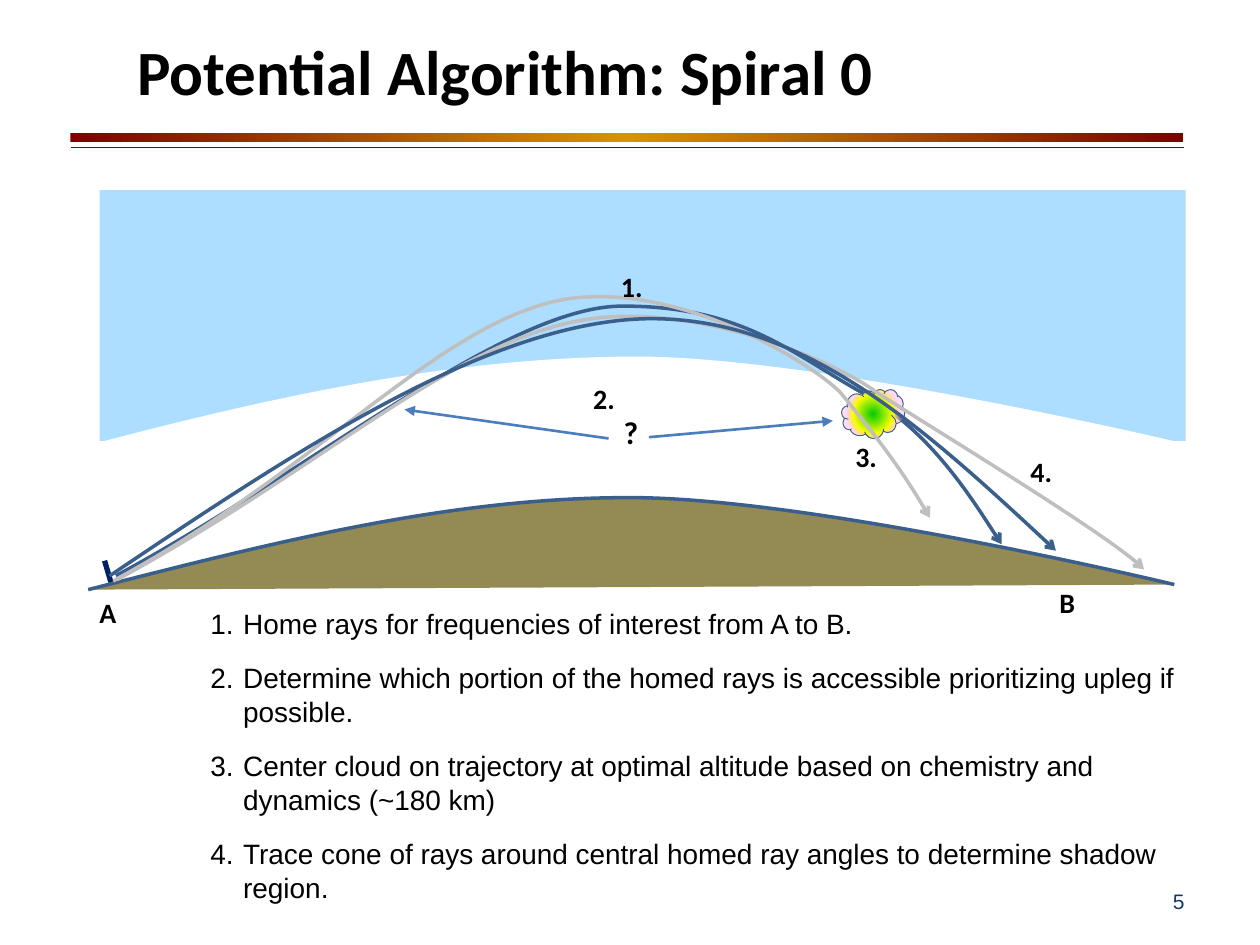
from dataclasses import dataclass
from typing import Optional

import lxml.etree
import pptx
import pptx.dml.color
import pptx.enum.shapes
import pptx.enum.text
import pptx.oxml
import pptx.oxml.ns
import pptx.util

RGBColor = pptx.dml.color.RGBColor
Shape = pptx.enum.shapes.MSO_SHAPE
Align = pptx.enum.text.PP_ALIGN
Anchor = pptx.enum.text.MSO_ANCHOR
AutoSize = pptx.enum.text.MSO_AUTO_SIZE
qn = pptx.oxml.ns.qn

EMU_PER_PX = 9144  # 100 px to the inch
BOUND_STEPS = 50

BLACK = RGBColor(0x00, 0x00, 0x00)
WHITE = RGBColor(0xFF, 0xFF, 0xFF)
MAROON = RGBColor(0x80, 0x00, 0x00)
GOLD = RGBColor(0xD2, 0x96, 0x00)
SKY = RGBColor(0x00, 0x96, 0xFF)
EARTH = RGBColor(0x94, 0x8A, 0x54)
NAVY = RGBColor(0x00, 0x20, 0x60)
RAY_BLUE = RGBColor(0x3A, 0x5F, 0x8C)
RAY_GRAY = RGBColor(0xBF, 0xBF, 0xBF)
POINTER_BLUE = RGBColor(0x4B, 0x7E, 0xBC)
NUMBER_BLUE = RGBColor(0x17, 0x37, 0x5E)
GREEN = RGBColor(0x00, 0xCC, 0x00)
YELLOW = RGBColor(0xFF, 0xFF, 0x00)
PINK = RGBColor(0xFF, 0xA2, 0xF3)

Point = tuple[int, int]


@dataclass
class Curve:
    """A start point followed by three points for each cubic segment."""
    points: list[Point]
    line: Optional[RGBColor] = None
    fill: Optional[RGBColor] = None
    head: Optional[str] = None


@dataclass
class Segment:
    start: Point
    end: Point
    color: RGBColor
    width: float
    head: Optional[str] = None


@dataclass
class Label:
    text: str
    left: int
    top: int
    width: int
    height: int = 37
    size: int = 16


@dataclass
class Stop:
    percent: int
    color: RGBColor
    opacity: int = 100


GROUND = Curve([(70, 468), (212, 432), (354, 395), (498, 395),
                (641, 394), (932, 464), (932, 464)], RAY_BLUE, EARTH)
SKY_EDGE = Curve([(79, 351), (220, 314), (362, 283), (506, 283),
                  (650, 283), (940, 352), (940, 352)], fill=WHITE)
FIRST_RAY = Curve([(92, 457), (250, 372), (403, 242), (495, 243), (588, 243), (628, 280),
                   (683, 311), (738, 341), (779, 408), (795, 432)], RAY_BLUE, head="arrow")
LATER_RAYS = [
    Curve([(90, 461), (249, 375), (340, 265), (437, 240), (533, 216), (654, 294),
           (669, 314), (705, 358), (723, 385), (738, 411)], RAY_GRAY, head="arrow"),
    Curve([(93, 460), (251, 374), (347, 282), (448, 257), (548, 232), (673, 293),
           (695, 311), (755, 349), (888, 430), (908, 452)], RAY_GRAY, head="arrow"),
    Curve([(87, 457), (236, 357), (386, 257), (511, 253),
           (636, 250), (737, 343), (838, 437)], RAY_BLUE, head="arrow"),
]
TITLE_RULE = Segment((56, 117), (940, 117), MAROON, 0.75)
ANTENNA = Segment((88, 462), (83, 445), NAVY, 3)
POINTERS = [
    Segment((483, 348), (321, 325), POINTER_BLUE, 1.5, "triangle"),
    Segment((515, 347), (661, 334), POINTER_BLUE, 1.5, "triangle"),
]
LABELS = [
    Label("A", 69, 468, 34),
    Label("B", 831, 460, 34),
    Label("1.", 483, 209, 38),
    Label("2.", 461, 298, 38),
    Label("?", 485, 323, 32, 40, 18),
    Label("3.", 669, 344, 38),
    Label("4.", 808, 356, 38),
]
STEPS = [
    "Home rays for frequencies of interest from A to B.",
    "Determine which portion of the homed rays is accessible prioritizing upleg if possible.",
    "Center cloud on trajectory at optimal altitude based on chemistry and dynamics (~180 km)",
    "Trace cone of rays around central homed ray angles to determine shadow region.",
]


def px(value: float) -> int:
    return round(value * EMU_PER_PX)


def place(shape, left: int, top: int, width: int, height: int) -> None:
    shape.left, shape.top, shape.width, shape.height = map(px, (left, top, width, height))


def set_font(para, name: str, size: int, color: RGBColor, bold: bool = False) -> None:
    para.font.name, para.font.size, para.font.bold = name, pptx.util.Pt(size), bold
    para.font.color.rgb = color


def add_head(line, kind: str) -> None:
    lxml.etree.SubElement(line._get_or_add_ln(), qn("a:tailEnd")).set("type", kind)


def curve_range(values: list[int]) -> tuple[int, int]:
    """Return the lowest and highest EMU that the curve reaches on one axis."""
    reached = []
    for first in range(0, len(values) - 1, 3):
        a, b, c, d = values[first:first + 4]
        for t in (step / BOUND_STEPS for step in range(BOUND_STEPS + 1)):
            s = 1 - t
            reached.append(px(a * s ** 3 + 3 * b * t * s * s + 3 * c * t * t * s + d * t ** 3))
    return min(reached), max(reached)


def add_curve_shape(shapes, points: list[Point]):
    """Build a freeform and turn each three of its lines into one cubic segment."""
    (left, right), (top, bottom) = (curve_range(list(values)) for values in zip(*points))
    corners = [(px(x), px(y)) for x, y in points]
    builder = shapes.build_freeform(*corners[0])
    builder.add_line_segments(corners[1:], close=False)
    shape = builder.convert_to_shape()
    shape.left, shape.top, shape.width, shape.height = left, top, right - left, bottom - top
    outline = shape._element.spPr.find(".//" + qn("a:path"))
    outline.set("w", str(right - left))
    outline.set("h", str(bottom - top))
    marks = list(outline.iter(qn("a:pt")))
    for mark, (x, y) in zip(marks, corners):
        mark.set("x", str(x - left))
        mark.set("y", str(y - top))
    for line in outline.findall(qn("a:lnTo")):
        outline.remove(line)
    for first in range(1, len(marks), 3):
        lxml.etree.SubElement(outline, qn("a:cubicBezTo")).extend(marks[first:first + 3])
    return shape


def draw_curve(shapes, curve: Curve) -> None:
    shape = add_curve_shape(shapes, curve.points)
    shape.shadow.inherit = False
    if curve.fill is None:
        shape.fill.background()
    else:
        shape.fill.solid()
        shape.fill.fore_color.rgb = curve.fill
    if curve.line is None:
        shape.line.fill.background()
    else:
        shape.line.color.rgb = curve.line
        shape.line.width = pptx.util.Pt(2)
    if curve.head:
        add_head(shape.line, curve.head)


def draw_segment(shapes, segment: Segment) -> None:
    connector = shapes.add_connector(pptx.enum.shapes.MSO_CONNECTOR.STRAIGHT,
                                     *map(px, segment.start + segment.end))
    connector.line.color.rgb = segment.color
    connector.line.width = pptx.util.Pt(segment.width)
    if segment.head:
        add_head(connector.line, segment.head)
    lxml.etree.SubElement(connector._element.spPr, qn("a:effectLst"))


def draw_preset(shapes, kind, left: int, top: int, width: int, height: int):
    shape = shapes.add_shape(kind, *map(px, (left, top, width, height)))
    shape.shadow.inherit = False
    shape.line.fill.background()
    return shape


def fill_gradient(shape, stops: list[Stop], direction: str) -> None:
    """Fill with any number of stops; direction is the a:lin or a:path element."""
    marks = "".join(f'<a:gs pos="{stop.percent * 1000}"><a:srgbClr val="{stop.color}">'
                    f'<a:alpha val="{stop.opacity * 1000}"/></a:srgbClr></a:gs>' for stop in stops)
    gradient = pptx.oxml.parse_xml(f'<a:gradFill {pptx.oxml.ns.nsdecls("a")} rotWithShape="1">'
                                   f'<a:gsLst>{marks}</a:gsLst>{direction}</a:gradFill>')
    shape.fill.background()
    properties = shape._element.spPr
    properties.replace(properties.find(qn("a:noFill")), gradient)


def add_text(shapes, label: Label, wrap: bool = False):
    box = shapes.add_textbox(*map(px, (label.left, label.top, label.width, label.height)))
    box.text_frame.word_wrap = wrap
    box.text_frame.auto_size = AutoSize.NONE if wrap else AutoSize.SHAPE_TO_FIT_TEXT
    box.text_frame.text = label.text
    set_font(box.text_frame.paragraphs[0], "Calibri", label.size, BLACK, True)
    return box.text_frame


def write_title(title) -> None:
    place(title, 99, 6, 767, 100)
    frame = title.text_frame
    frame.text = "Potential Algorithm: Spiral 0"
    frame.vertical_anchor, frame.auto_size = Anchor.MIDDLE, AutoSize.NONE
    frame.paragraphs[0].alignment = Align.LEFT
    set_font(frame.paragraphs[0], "Calibri", 36, BLACK, True)


def write_steps(body) -> None:
    place(body, 157, 476, 820, 248)
    frame = body.text_frame
    frame.text = "\n".join(STEPS)
    frame.auto_size = AutoSize.NONE
    for index, para in enumerate(frame.paragraphs):
        properties = para._p.get_or_add_pPr()
        properties.set("marL", str(px(26)))
        properties.set("indent", str(px(-26)))
        lxml.etree.SubElement(properties, qn("a:buFont")).set("typeface", "+mj-lt")
        lxml.etree.SubElement(properties, qn("a:buAutoNum")).set("type", "arabicPeriod")
        para.space_before = pptx.util.Pt(12 if index else 0)
        set_font(para, "Arial", 16, BLACK)


def write_page_number(shapes) -> None:
    frame = add_text(shapes, Label("5", 717, 695, 233, 40), wrap=True)
    frame.vertical_anchor = Anchor.MIDDLE
    frame.paragraphs[0].alignment = Align.RIGHT
    set_font(frame.paragraphs[0], "Arial", 12, NUMBER_BLUE)


def draw_sky(shapes) -> None:
    sky = draw_preset(shapes, Shape.RECTANGLE, 79, 151, 862, 199)
    sky.fill.solid()
    sky.fill.fore_color.rgb = SKY
    color = sky._element.spPr.find(qn("a:solidFill"))[0]
    lxml.etree.SubElement(color, qn("a:alpha")).set("val", "32000")
    draw_curve(shapes, SKY_EDGE)


def draw_cloud(shapes) -> None:
    cloud = draw_preset(shapes, Shape.CLOUD, 668, 309, 50, 39)
    fill_gradient(cloud, [Stop(0, GREEN), Stop(50, YELLOW), Stop(69, PINK, 37)],
                  '<a:path path="circle"><a:fillToRect l="50000" t="50000" r="50000" b="50000"/>'
                  '</a:path>')
    cloud.line.color.rgb = RAY_BLUE
    cloud.line.width = pptx.util.Pt(0.5)


def main() -> None:
    deck = pptx.Presentation()
    deck.slide_width, deck.slide_height = px(1000), px(750)
    page = deck.slides.add_slide(deck.slide_layouts[1])
    shapes = page.shapes
    write_title(shapes.title)
    write_steps(page.placeholders[1])
    bar = draw_preset(shapes, Shape.RECTANGLE, 56, 106, 883, 7)
    fill_gradient(bar, [Stop(0, MAROON), Stop(50, GOLD), Stop(100, MAROON)], '<a:lin ang="0"/>')
    draw_segment(shapes, TITLE_RULE)
    write_page_number(shapes)
    draw_curve(shapes, GROUND)
    draw_sky(shapes.add_group_shape().shapes)
    draw_segment(shapes, ANTENNA)
    draw_curve(shapes, FIRST_RAY)
    draw_cloud(shapes)
    for pointer in POINTERS:
        draw_segment(shapes, pointer)
    for ray in LATER_RAYS:
        draw_curve(shapes, ray)
    for label in LABELS:
        add_text(shapes, label)
    deck.save("out.pptx")


if __name__ == "__main__":
    main()
